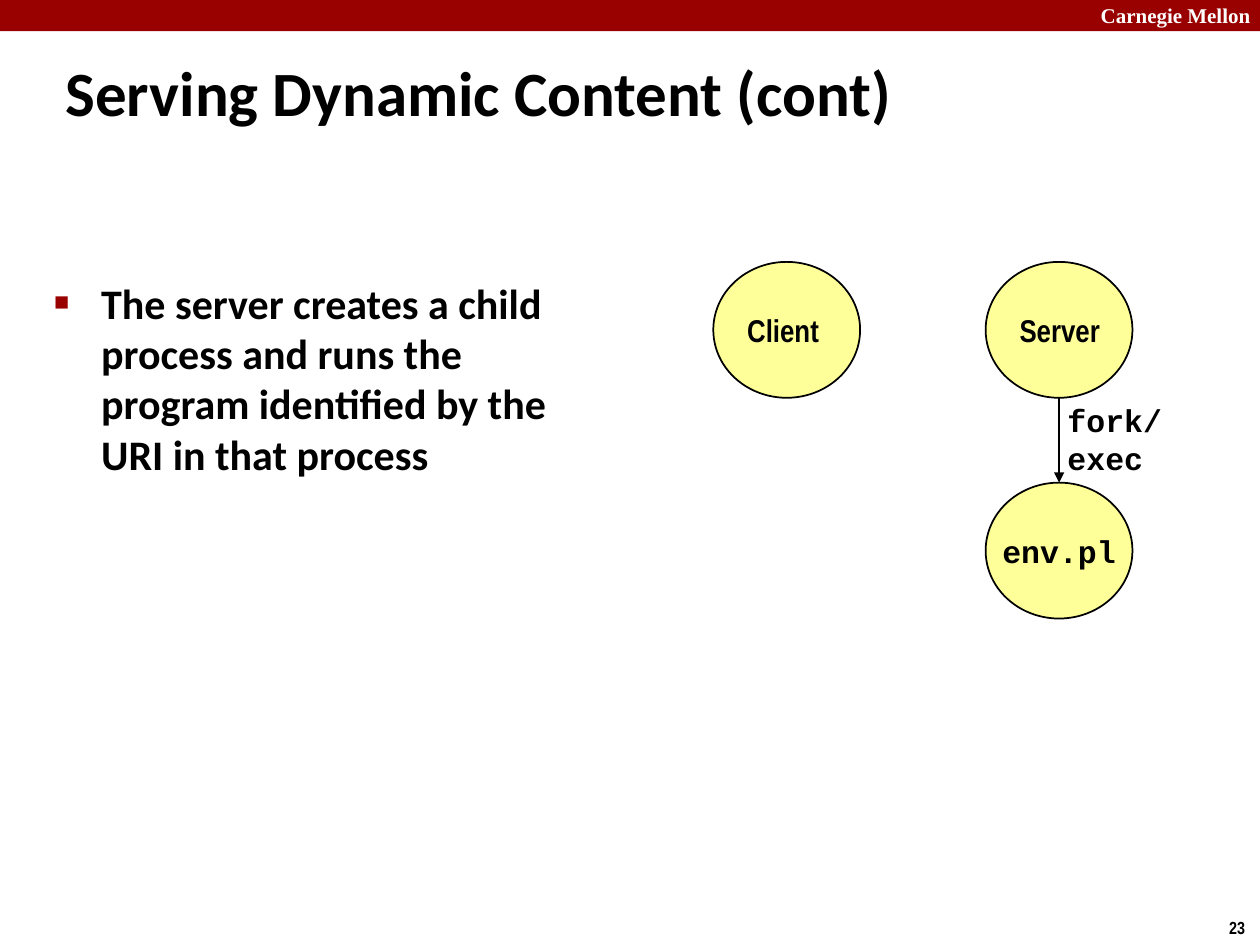
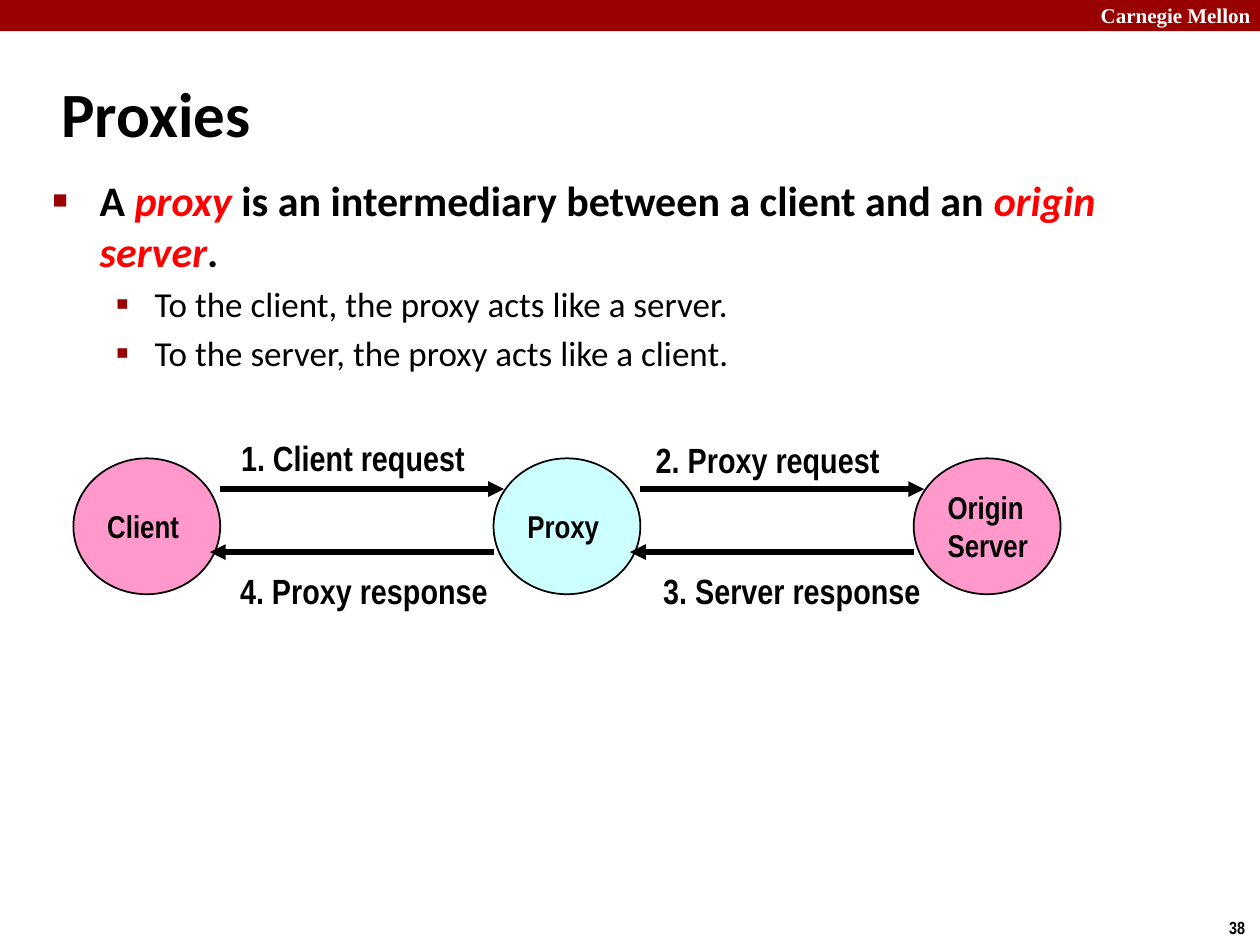
from dataclasses import dataclass

from lxml.etree import SubElement
from pptx import Presentation
from pptx.dml.color import RGBColor
from pptx.enum.shapes import MSO_CONNECTOR as Link, MSO_SHAPE as Preset
from pptx.enum.text import MSO_ANCHOR as Anchor, PP_ALIGN as Align
from pptx.oxml.ns import qn
from pptx.util import Cm, Pt

COLORS = {
    "band": "990000",
    "white": "FFFFFF",
    "text": "000000",
    "term": "FF0000",
    "yellow": "FFFF99",
    "pink": "FF99CC",
    "cyan": "CCFFFF",
}
HEADING, LABEL, CODE, SERIF = "Calibri", "Arial Narrow", "Courier New", "Times New Roman"
NODE_WIDTH, NODE_HEIGHT = 2.96, 2.74


@dataclass
class Style:
    font: str
    size: int
    bold: bool = True
    color: str = "text"


@dataclass
class Label:
    text: str
    left: float
    top: float
    width: float
    height: float
    style: Style
    anchor: Anchor = Anchor.TOP
    wrap: bool = False


@dataclass
class Node:
    text: str
    left: float
    top: float
    fill: str
    font: str = LABEL
    align: Align = Align.LEFT


@dataclass
class Arrow:
    start: tuple[float, float]
    end: tuple[float, float]
    width: int


@dataclass
class Level:
    style: Style
    margin: float
    hanging: float
    mark: str
    mark_percent: int


@dataclass
class Bullet:
    spans: list[str]  # every second span is a highlighted term
    level: Level


TITLE = Style(HEADING, 36)
STEP = Style(LABEL, 20)
MAIN = Level(Style(HEADING, 24), 0.95, 0.95, "■", 60)
SUB = Level(Style(HEADING, 20, bold=False), 2.06, 0.79, "▪", 110)


def rgb(name: str) -> RGBColor:
    return RGBColor.from_string(COLORS[name])


def set_font(paragraph, style: Style) -> None:
    font = paragraph.font
    font.name, font.size, font.bold = style.font, Pt(style.size), style.bold
    font.color.rgb = rgb(style.color)


def add_label(page, label: Label) -> None:
    box = page.shapes.add_textbox(
        Cm(label.left), Cm(label.top), Cm(label.width), Cm(label.height))
    frame = box.text_frame
    frame.word_wrap, frame.vertical_anchor = label.wrap, label.anchor
    frame.text = label.text
    set_font(frame.paragraphs[0], label.style)


def add_node(page, node: Node) -> None:
    oval = page.shapes.add_shape(
        Preset.OVAL, Cm(node.left), Cm(node.top), Cm(NODE_WIDTH), Cm(NODE_HEIGHT))
    oval.shadow.inherit = False
    oval.fill.solid()
    oval.fill.fore_color.rgb = rgb(node.fill)
    oval.line.color.rgb = rgb("text")
    oval.line.width = Pt(1)
    frame = oval.text_frame
    frame.word_wrap, frame.vertical_anchor = False, Anchor.MIDDLE
    frame.text = node.text
    for paragraph in frame.paragraphs:
        paragraph.alignment = node.align
        set_font(paragraph, Style(node.font, 18))


def add_arrow(page, arrow: Arrow) -> None:
    line = page.shapes.add_connector(
        Link.STRAIGHT, *(Cm(value) for value in arrow.start + arrow.end))
    line.line.color.rgb = rgb("text")
    line.line.width = Pt(arrow.width)
    SubElement(line.line._get_or_add_ln(), qn("a:tailEnd"), type="triangle")
    SubElement(line._element.spPr, qn("a:effectLst"))


def add_bullets(page, left: float, top: float, width: float, height: float,
                bullets: list[Bullet]) -> None:
    box = page.shapes.add_textbox(Cm(left), Cm(top), Cm(width), Cm(height))
    frame = box.text_frame
    frame.word_wrap = True
    for index, bullet in enumerate(bullets):
        level = bullet.level
        paragraph = frame.add_paragraph() if index else frame.paragraphs[0]
        properties = paragraph._p.get_or_add_pPr()
        properties.set("marL", str(Cm(level.margin)))
        properties.set("indent", str(-Cm(level.hanging)))
        color = SubElement(properties, qn("a:buClr"))
        SubElement(color, qn("a:srgbClr"), val=COLORS["band"])
        SubElement(properties, qn("a:buSzPct"), val=str(level.mark_percent * 1000))
        SubElement(properties, qn("a:buFont"), typeface=SERIF)
        SubElement(properties, qn("a:buChar"), char=level.mark)
        if index:
            paragraph.space_before = Pt(level.style.size * 0.2)
        set_font(paragraph, level.style)
        for position, text in enumerate(bullet.spans):
            span = paragraph.add_run()
            span.text = text
            if position % 2:
                span.font.italic = True
                span.font.color.rgb = rgb("term")


def add_page(deck, number: int, title: Label):
    """Add a page with the band, the school name, the number and the title."""
    page = deck.slides.add_slide(deck.slide_layouts[6])
    band = page.shapes.add_shape(Preset.RECTANGLE, 0, 0, deck.slide_width, Cm(0.63))
    band.shadow.inherit = False
    band.fill.solid()
    band.fill.fore_color.rgb = rgb("band")
    band.line.fill.background()
    add_label(page, Label("Carnegie Mellon", 21.94, -0.08, 3.63, 0.77,
                          Style(SERIF, 12, color="white"), wrap=True))
    add_label(page, Label(str(number), 24.53, 18.36, 0.87, 0.69, Style(LABEL, 10)))
    add_label(page, title)
    return page


def build_dynamic_content(deck) -> None:
    page = add_page(deck, 23, Label("Serving Dynamic Content (cont)", 1.07, 0.96,
                                    21.59, 1.6, TITLE, wrap=True))
    add_bullets(page, 0.84, 5.46, 11.8, 5.26, [
        Bullet(["The server creates a child process and runs the program "
                "identified by the URI in that process"], MAIN)])

    # Client, server and the child process below it
    client_left, server_left, top, child_top = 14.38, 19.87, 5.28, 9.73
    for node in (Node("Client", client_left, top, "yellow"),
                 Node("Server", server_left, top, "yellow"),
                 Node("env.pl", server_left, child_top, "yellow", CODE, Align.CENTER)):
        add_node(page, node)
    center = server_left + NODE_WIDTH / 2
    add_arrow(page, Arrow((center, top + NODE_HEIGHT), (center, child_top), 1))
    add_label(page, Label("fork/\vexec", 21.27, 8, 2.6, 1.7, Style(CODE, 18),
                          Anchor.MIDDLE, wrap=True))


def build_proxies(deck) -> None:
    page = add_page(deck, 38, Label("Proxies", 0.99, 1.2, 21.08, 2.11, TITLE,
                                    Anchor.MIDDLE, wrap=True))
    add_bullets(page, 0.81, 3.4, 23.09, 11, [
        Bullet(["A ", "proxy ", "is an intermediary between a client and an ",
                "origin server", "."], MAIN),
        Bullet(["To the client, the proxy acts like a server."], SUB),
        Bullet(["To the server, the proxy acts like a client."], SUB)])

    # Three evenly spaced nodes
    first_left, pitch, top = 1.48, 8.47, 9.24
    nodes = [("Client", "pink"), ("Proxy", "cyan"), ("Origin\nServer", "pink")]
    for index, (text, fill) in enumerate(nodes):
        add_node(page, Node(text, first_left + index * pitch, top, fill))

    # A request and a response across each gap
    request_y, response_y, reach = 9.86, 11.13, 5.72
    for index in range(len(nodes) - 1):
        gap_left = first_left + NODE_WIDTH + index * pitch
        gap_right = first_left + (index + 1) * pitch
        add_arrow(page, Arrow((gap_left, request_y), (gap_left + reach, request_y), 3))
        add_arrow(page, Arrow((gap_right, response_y), (gap_right - reach, response_y), 3))

    for text, left, label_top, width in (
            ("1. Client request", 4.61, 8.68, 5.05),
            ("2. Proxy request", 12.97, 8.71, 5.05),
            ("3. Server response", 13.12, 11.35, 5.74),
            ("4. Proxy response", 4.59, 11.35, 5.54)):
        add_label(page, Label(text, left, label_top, width, 1.12, STEP))


def main() -> None:
    deck = Presentation()
    deck.slide_width, deck.slide_height = Cm(25.4), Cm(19.05)
    build_dynamic_content(deck)
    build_proxies(deck)
    deck.save("out.pptx")


if __name__ == "__main__":
    main()
